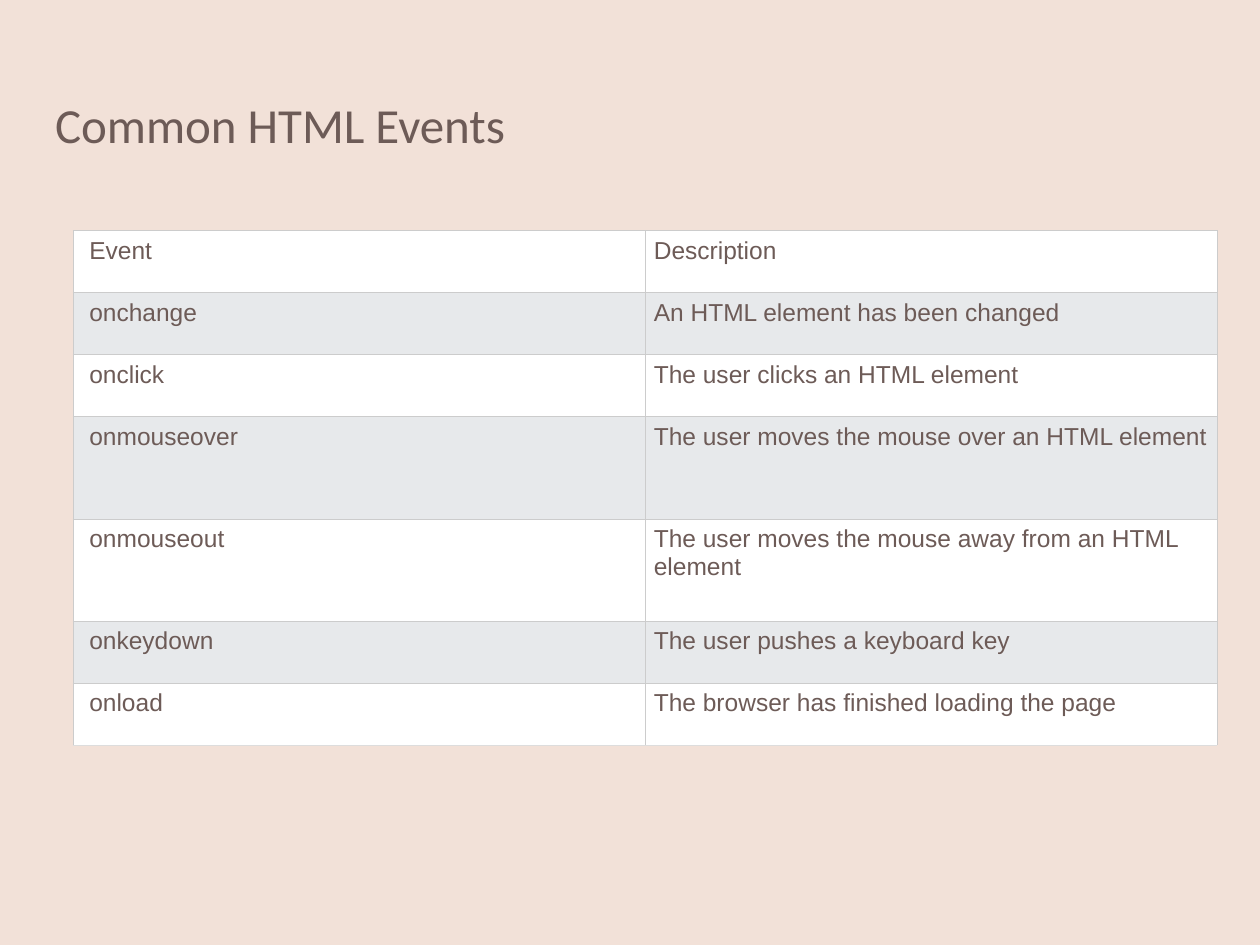
from dataclasses import dataclass
from typing import NamedTuple

from lxml.etree import SubElement
from pptx import Presentation
from pptx.dml.color import RGBColor
from pptx.enum.text import MSO_ANCHOR, MSO_AUTO_SIZE, PP_ALIGN
from pptx.oxml.ns import qn
from pptx.util import Cm, Pt


@dataclass(frozen=True)
class Theme:
    background: str = "F2E1D8"
    text: str = "6D5B57"
    row_fills: tuple[str, str] = ("FFFFFF", "E7E9EB")
    border: str = "CCCCCC"
    bottom_border: str = "DDDDDD"
    border_width: Pt = Pt(0.28)
    title_font: str = "Calibri"
    title_size: Pt = Pt(28)
    table_font: str = "Arial"
    table_size: Pt = Pt(14)


class EventRow(NamedTuple):
    event: str
    description: str
    height: Cm = Cm(1.25)


THEME = Theme()
TALL = Cm(2.06)
ROWS = [
    EventRow("Event", "Description"),
    EventRow("onchange", "An HTML element has been changed"),
    EventRow("onclick", "The user clicks an HTML element"),
    EventRow("onmouseover", "The user moves the mouse over an HTML element", TALL),
    EventRow("onmouseout", "The user moves the mouse away from an HTML element", TALL),
    EventRow("onkeydown", "The user pushes a keyboard key"),
    EventRow("onload", "The browser has finished loading the page"),
]
COLUMN_WIDTH = Cm(11.53)
LEFT_MARGINS = (Cm(0.33), Cm(0.18))


def style_font(para, name: str, size: Pt) -> None:
    para.font.name = name
    para.font.size = size
    para.font.bold = False
    para.font.color.rgb = RGBColor.from_string(THEME.text)


def add_title(page, text: str) -> None:
    title = page.shapes.title
    title.left, title.top, title.width, title.height = Cm(0.86), Cm(1.65), Cm(23.67), Cm(2.13)
    frame = title.text_frame
    frame.text = text
    frame.word_wrap = True
    frame.auto_size = MSO_AUTO_SIZE.NONE
    frame.vertical_anchor = MSO_ANCHOR.TOP
    frame.margin_left = frame.margin_right = frame.margin_top = frame.margin_bottom = Cm(0.25)
    para = frame.paragraphs[0]
    para.alignment = PP_ALIGN.LEFT
    style_font(para, THEME.title_font, THEME.title_size)


def add_borders(cell, bottom: str) -> None:
    """Draw the four cell borders; call before filling, as the lines precede the fill."""
    properties = cell._tc.get_or_add_tcPr()
    for side in "LRTB":
        line = SubElement(properties, qn(f"a:ln{side}"), w=str(int(THEME.border_width)))
        fill = SubElement(line, qn("a:solidFill"))
        SubElement(fill, qn("a:srgbClr"), val=bottom if side == "B" else THEME.border)


def format_cell(cell, text: str, left_margin: Cm, fill: str, bottom: str) -> None:
    add_borders(cell, bottom)
    cell.fill.solid()
    cell.fill.fore_color.rgb = RGBColor.from_string(fill)
    cell.text = text
    cell.vertical_anchor = MSO_ANCHOR.TOP
    cell.margin_left, cell.margin_right = left_margin, Cm(0.18)
    cell.margin_top = cell.margin_bottom = Cm(0.13)
    style_font(cell.text_frame.paragraphs[0], THEME.table_font, THEME.table_size)


def add_event_table(page, rows: list[EventRow]) -> None:
    height = sum(row.height for row in rows)
    table = page.shapes.add_table(
        len(rows), 2, Cm(1.47), Cm(4.65), 2 * COLUMN_WIDTH, height
    ).table
    table.first_row = table.horz_banding = False
    for column in table.columns:
        column.width = COLUMN_WIDTH
    for index, row in enumerate(rows):
        table.rows[index].height = row.height
        bottom = THEME.bottom_border if index == len(rows) - 1 else THEME.border
        for column, text in enumerate((row.event, row.description)):
            format_cell(table.cell(index, column), text, LEFT_MARGINS[column],
                        THEME.row_fills[index % 2], bottom)


def main() -> None:
    deck = Presentation()
    deck.slide_width, deck.slide_height = Cm(25.4), Cm(19.05)
    page = deck.slides.add_slide(deck.slide_layouts[5])
    page.background.fill.solid()
    page.background.fill.fore_color.rgb = RGBColor.from_string(THEME.background)
    add_title(page, "Common HTML Events")
    add_event_table(page, ROWS)
    deck.save("out.pptx")


if __name__ == "__main__":
    main()
